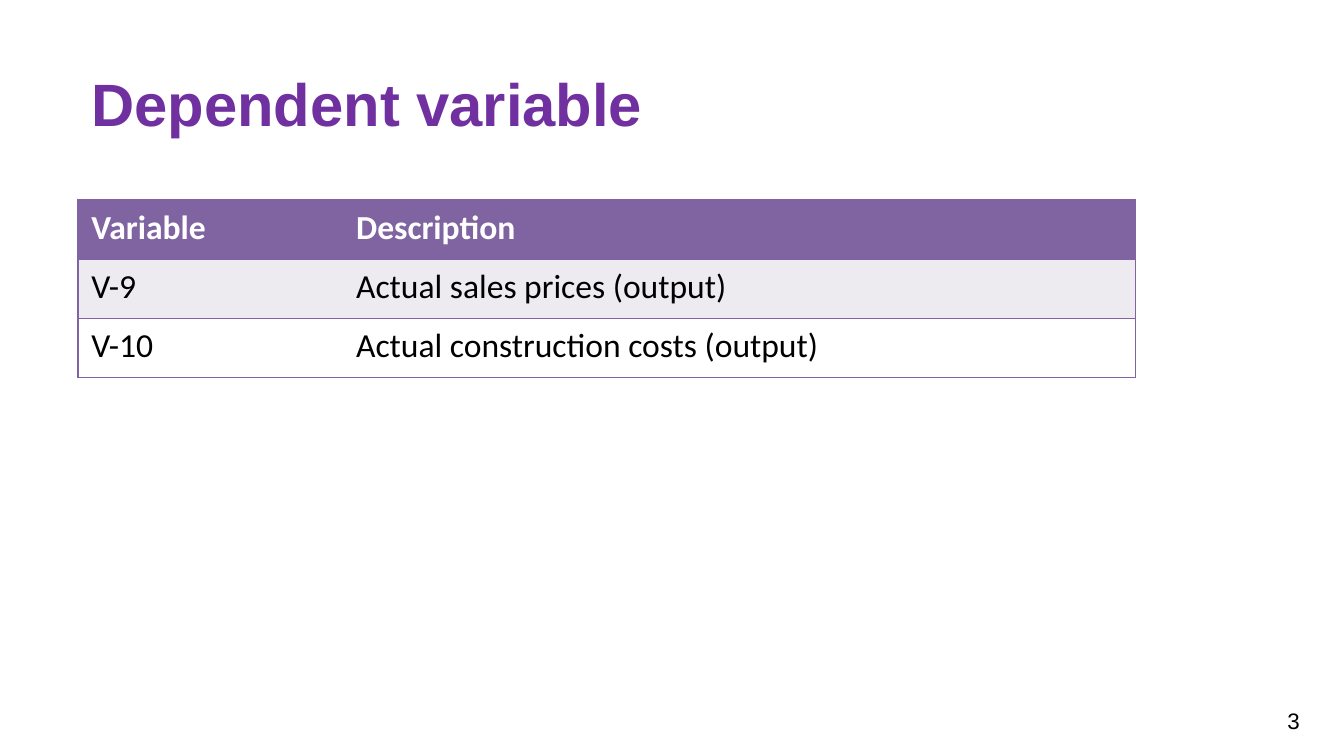
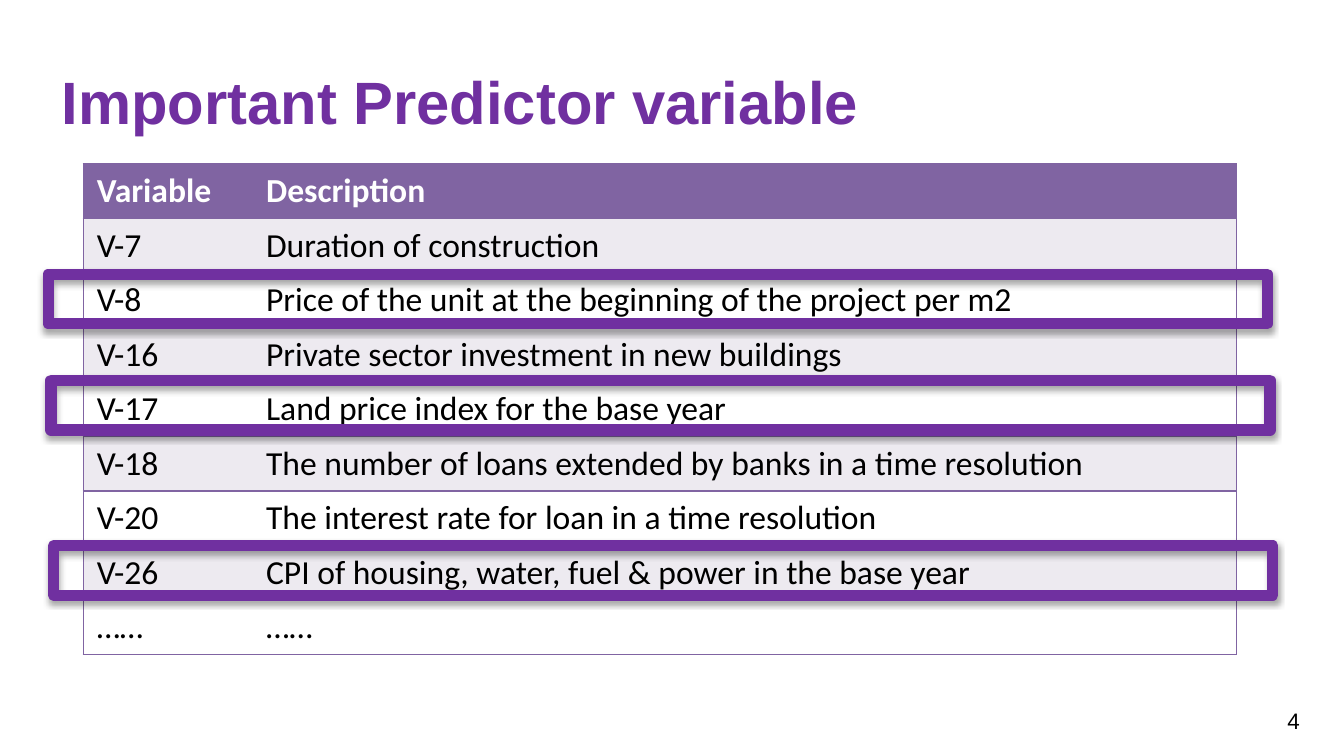
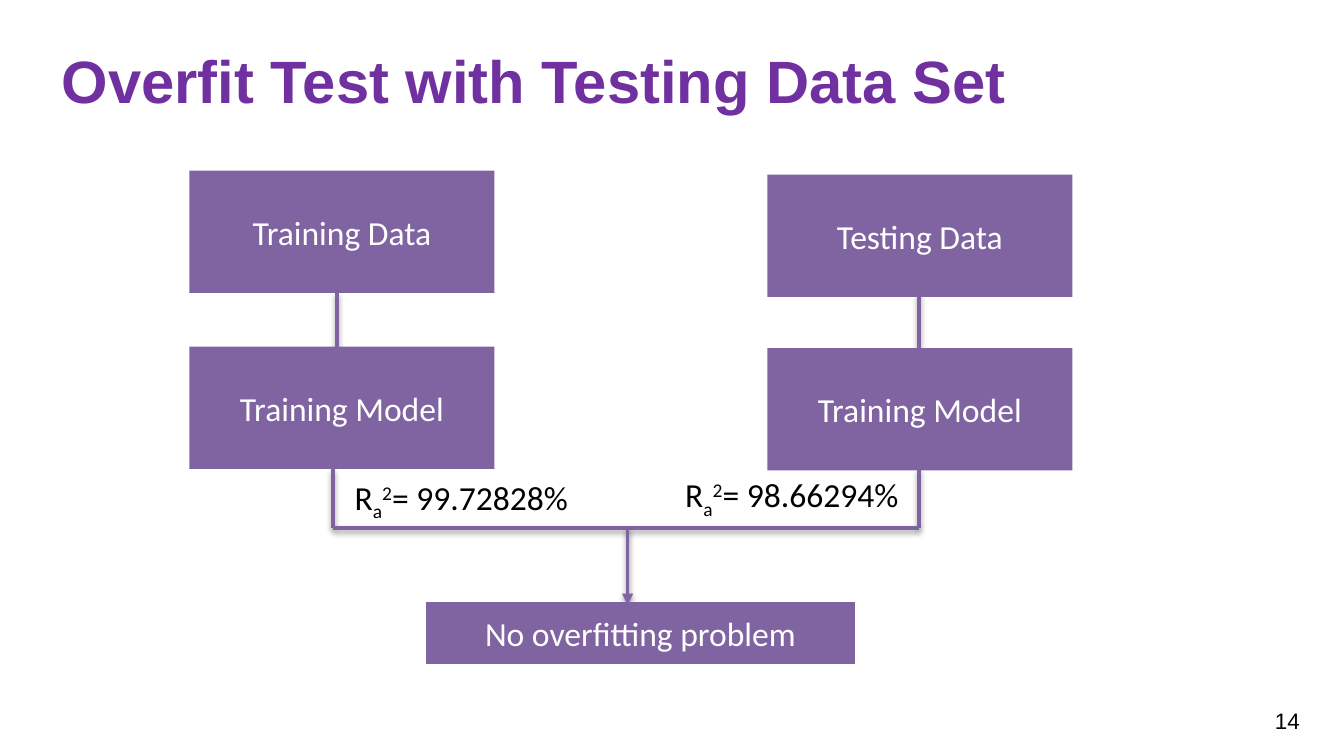
from lxml import etree
from pptx import Presentation
from pptx.dml.color import RGBColor
from pptx.enum.shapes import MSO_CONNECTOR, MSO_SHAPE
from pptx.enum.text import MSO_ANCHOR, MSO_AUTO_SIZE, PP_ALIGN
from pptx.oxml.ns import qn
from pptx.util import Pt

PX = 9144  # 100 px to the inch
LEFT, CENTER, RIGHT = PP_ALIGN.LEFT, PP_ALIGN.CENTER, PP_ALIGN.RIGHT
TOP, MIDDLE = MSO_ANCHOR.TOP, MSO_ANCHOR.MIDDLE
NO_FIT = MSO_AUTO_SIZE.NONE
RECTANGLE, STRAIGHT = MSO_SHAPE.RECTANGLE, MSO_CONNECTOR.STRAIGHT
TITLE_ONLY = 5
PLAIN_TABLE_STYLE = "{2D5ABB26-0587-4C30-8999-92F81FD0307C}"

PURPLE, VIOLET, LILAC = "7030A0", "8064A2", "EDEAF0"
BLACK, WHITE = "000000", "FFFFFF"

TITLE_FONT = {"name": "Arial", "size": Pt(32), "bold": True}
NUMBER_FONT = {"name": "Arial", "size": Pt(12), "bold": False}
BODY_FONT = {"name": "Calibri", "size": Pt(18), "bold": False}
HEADER_FONT = {**BODY_FONT, "bold": True}


def color(hex_string):
    return RGBColor.from_string(hex_string)


def write(text_frame, runs, font_format, hex_string, alignment=LEFT, anchor=TOP):
    """Fill a text frame with (text, baseline percent) runs."""
    frame_format = {"word_wrap": True, "auto_size": NO_FIT, "vertical_anchor": anchor}
    for name, value in frame_format.items():
        setattr(text_frame, name, value)
    paragraph = text_frame.paragraphs[0]
    paragraph.alignment = alignment
    for text, baseline in runs:
        run = paragraph.add_run()
        run.text = text
        for name, value in font_format.items():
            setattr(run.font, name, value)
        run.font.color.rgb = color(hex_string)
        if baseline:
            run._r.get_or_add_rPr().set("baseline", str(baseline * 1000))


presentation = Presentation()
presentation.slide_width = 1000 * PX
presentation.slide_height = 1000 * PX * 9 // 16

# Title and slide number of every slide
slides = []
for title, number, box in [
    ("Dependent variable", "3", (58, 16, 839, 121)),
    ("Important Predictor variable", "4", (36, 14, 839, 121)),
    ("Overfit Test with Testing Data Set", "14", (36, 14, 744, 90)),
]:
    slide = presentation.slides.add_slide(presentation.slide_layouts[TITLE_ONLY])
    number_box = slide.shapes.add_textbox(912 * PX, 521 * PX, 65 * PX, 30 * PX)
    write(number_box.text_frame, [(number, 0)], NUMBER_FONT, BLACK, RIGHT, MIDDLE)
    title_shape = slide.shapes.title
    for name, value in zip(("left", "top", "width", "height"), box):
        setattr(title_shape, name, value * PX)
    write(title_shape.text_frame, [(title, 0)], TITLE_FONT, PURPLE, LEFT, MIDDLE)
    slides.append(slide)
dependent_slide, predictor_slide, overfit_slide = slides

# Variable tables
dependent_rows = [
    ("Variable", "Description"),
    ("V-9", "Actual sales prices (output)"),
    ("V-10\t", "Actual construction costs (output)"),
]
predictor_rows = [
    ("Variable", "Description"),
    ("V-7", "Duration of construction"),
    ("V-8", "Price of the unit at the beginning of the project per m2"),
    ("V-16", "Private sector investment in new buildings"),
    ("V-17", "Land price index for the base year"),
    ("V-18", "The number of loans extended by banks in a time resolution"),
    ("V-20", "The interest rate for loan in a time resolution"),
    ("V-26", "CPI of housing, water, fuel & power in the base year"),
    ("……", "……"),
]
for slide, rows, left, top, column_widths, height in [
    (dependent_slide, dependent_rows, 58, 149, (197, 590), 132),
    (predictor_slide, predictor_rows, 62, 122, (126, 732), 365),
]:
    table = slide.shapes.add_table(
        len(rows), 2, left * PX, top * PX, sum(column_widths) * PX, height * PX
    ).table
    table._tbl.tblPr.find(qn("a:tableStyleId")).text = PLAIN_TABLE_STYLE
    for column, width in zip(table.columns, column_widths):
        column.width = width * PX
    for row_index, row in enumerate(rows):
        is_header = row_index == 0
        fill = VIOLET if is_header else LILAC if row_index % 2 else WHITE
        for column_index, text in enumerate(row):
            cell = table.cell(row_index, column_index)
            write(cell.text_frame, [(text, 0)],
                  HEADER_FONT if is_header else BODY_FONT,
                  WHITE if is_header else BLACK)
            # Rules above and below, and on the outer side only
            outer_side = "a:lnR" if column_index else "a:lnL"
            properties = cell._tc.get_or_add_tcPr()
            for side in (outer_side, "a:lnT", "a:lnB"):
                border = etree.SubElement(properties, qn(side), w=str(Pt(1)))
                border_fill = etree.SubElement(border, qn("a:solidFill"))
                etree.SubElement(border_fill, qn("a:srgbClr"), val=VIOLET)
            cell.fill.solid()
            cell.fill.fore_color.rgb = color(fill)

shadowed = []  # (shape, opacity percent, distance in points)

# Frames around the highlighted predictors
for left, top in [(36, 204), (38, 283), (40, 406)]:
    frame = predictor_slide.shapes.add_shape(
        RECTANGLE, left * PX, top * PX, 907 * PX, 37 * PX
    )
    frame.fill.background()
    frame.line.color.rgb = color(PURPLE)
    frame.line.width = Pt(6)
    shadowed.append((frame, 35, 1.8))

# Flow lines, the last one with an arrowhead
flow_lines = [
    (251, 218, 251, 262),
    (684, 218, 684, 262),
    (248, 349, 248, 393),
    (684, 349, 684, 393),
    (248, 393, 684, 393),
    (467, 393, 467, 450),
]
for ends in flow_lines:
    connector = overfit_slide.shapes.add_connector(
        STRAIGHT, *[value * PX for value in ends]
    )
    connector.line.color.rgb = color(VIOLET)
    connector.line.width = Pt(2)
    shadowed.append((connector, 38, 1.6))
etree.SubElement(connector.line._get_or_add_ln(), qn("a:tailEnd"), type="triangle")

# Flow boxes
for text, left, top, width, height in [
    ("Training Data", 141, 127, 227, 91),
    ("Testing Data", 571, 130, 227, 91),
    ("Training Model", 141, 258, 227, 91),
    ("Training Model", 571, 259, 227, 91),
    ("No overfitting problem", 317, 448, 319, 46),
]:
    shape = overfit_slide.shapes.add_shape(
        RECTANGLE, left * PX, top * PX, width * PX, height * PX
    )
    shape.shadow.inherit = False
    shape.fill.solid()
    shape.fill.fore_color.rgb = color(VIOLET)
    shape.line.fill.background()
    write(shape.text_frame, [(text, 0)], BODY_FONT, WHITE, CENTER, MIDDLE)

# Adjusted R squared of both models
for score, left, top in [("= 99.72828%", 254, 350), ("= 98.66294%", 500, 348)]:
    score_box = overfit_slide.shapes.add_textbox(left * PX, top * PX, 186 * PX, 40 * PX)
    runs = [("R", 0), ("a", -25), ("2", 30), (score, 0)]
    write(score_box.text_frame, runs, BODY_FONT, BLACK)

# Soft shadows straight below frames and lines
for shape, opacity, distance in shadowed:
    effects = etree.SubElement(shape._element.spPr, qn("a:effectLst"))
    shadow = etree.SubElement(
        effects, qn("a:outerShdw"), blurRad=str(Pt(3.1)), dist=str(Pt(distance)),
        dir="5400000", rotWithShape="0",
    )
    shadow_color = etree.SubElement(shadow, qn("a:srgbClr"), val=BLACK)
    etree.SubElement(shadow_color, qn("a:alpha"), val=str(opacity * 1000))

presentation.save("out.pptx")
